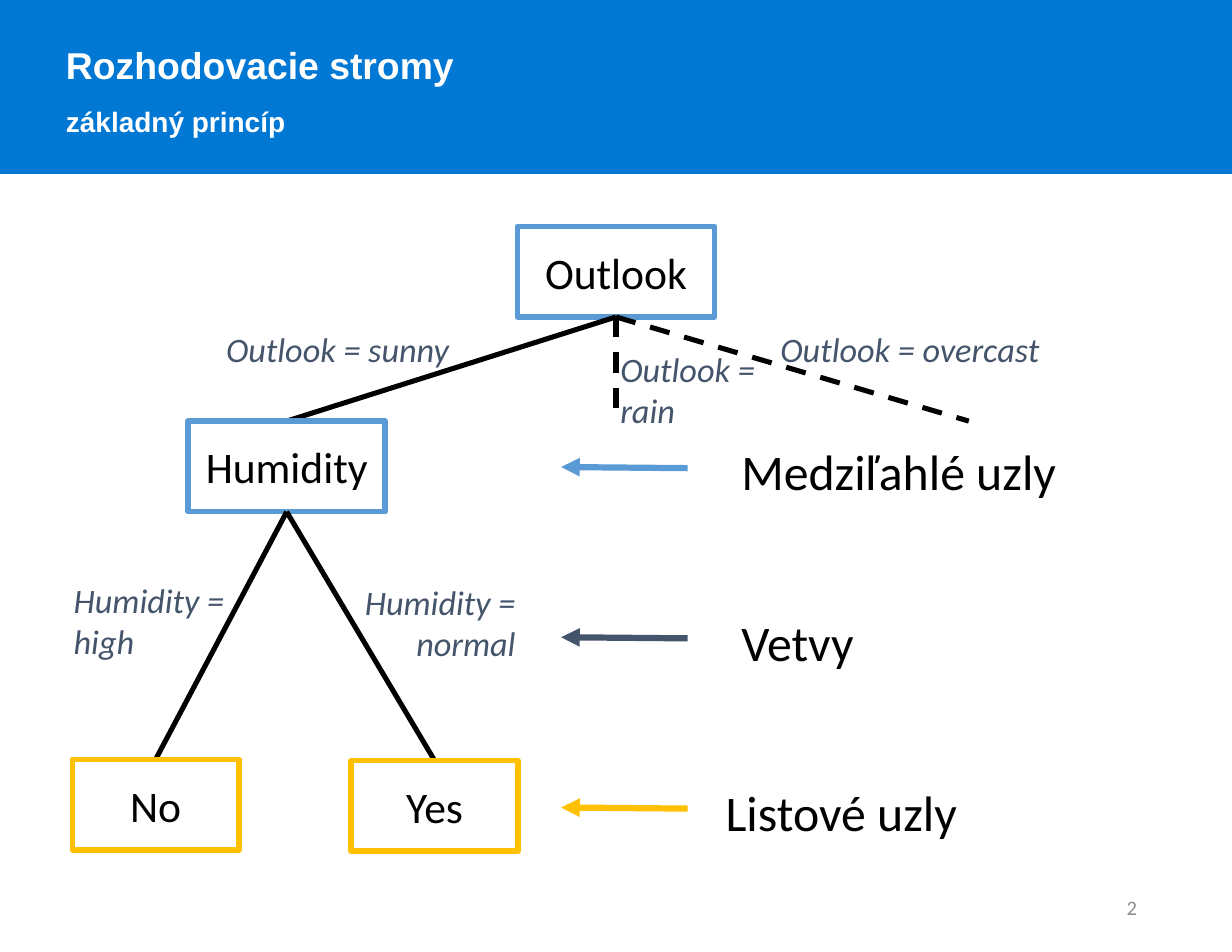
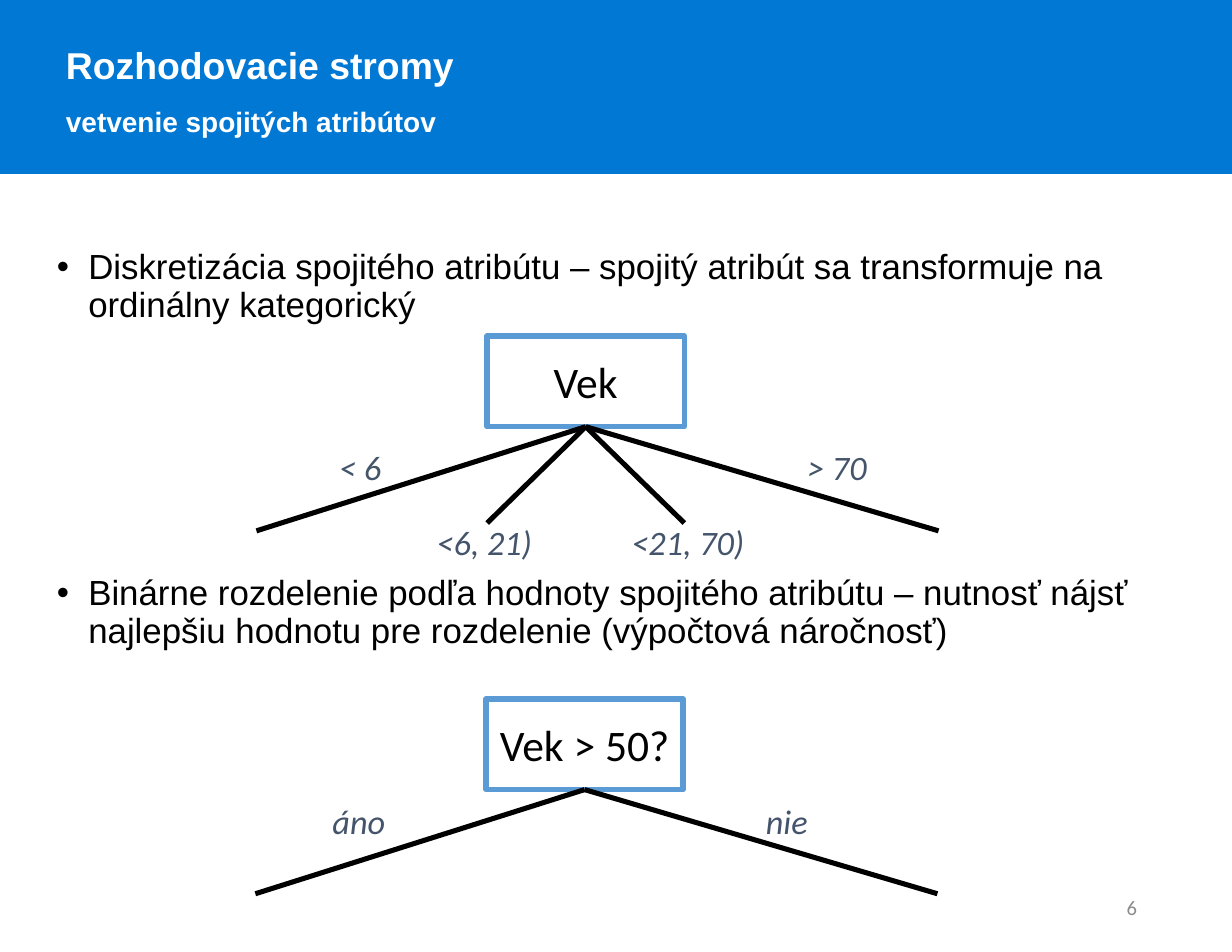
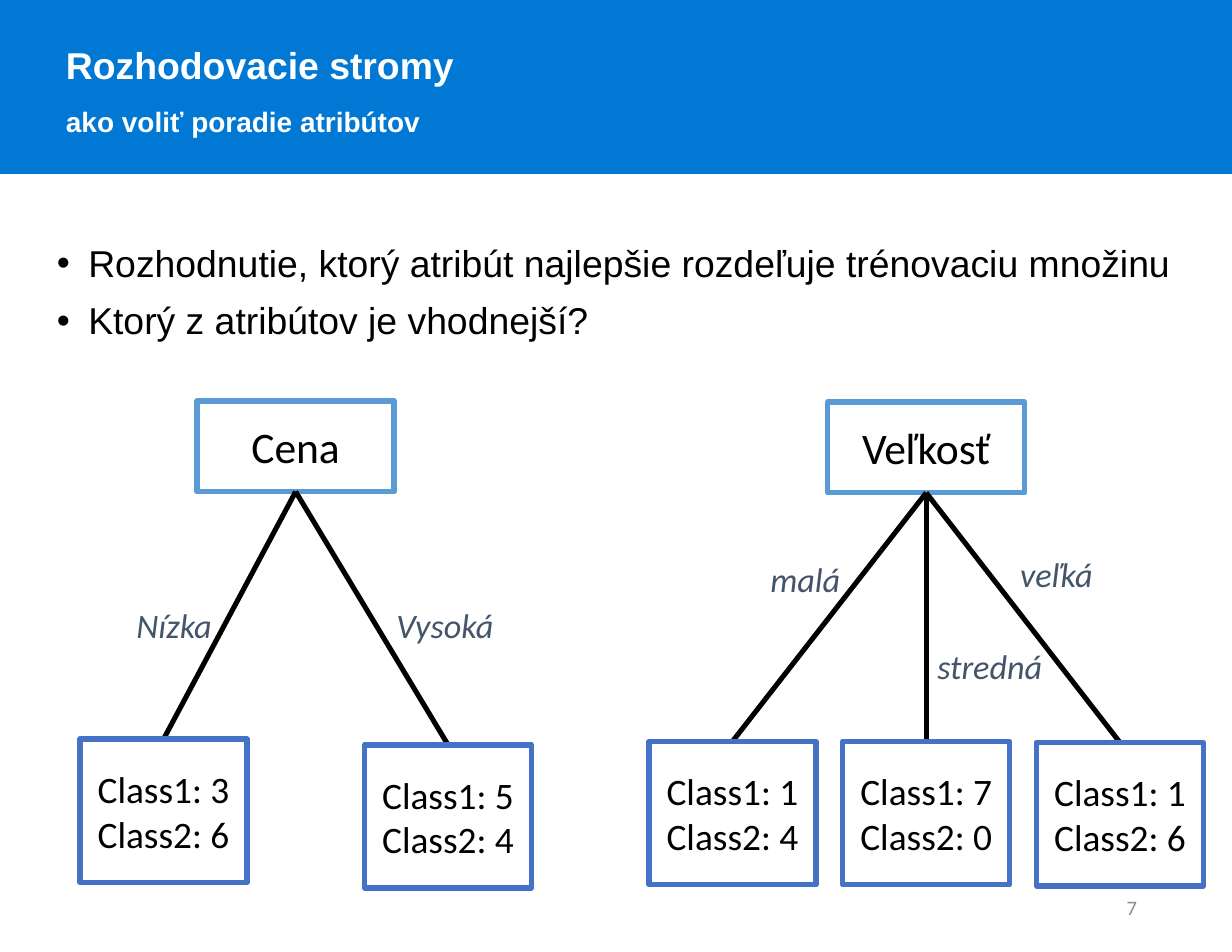
from dataclasses import dataclass

from lxml.etree import SubElement
from pptx import Presentation
from pptx.dml.color import RGBColor
from pptx.enum.dml import MSO_LINE
from pptx.enum.shapes import MSO_CONNECTOR, MSO_SHAPE
from pptx.enum.text import MSO_ANCHOR, PP_ALIGN
from pptx.oxml.ns import qn
from pptx.util import Inches, Pt

# Shared look
BAND, NODE, LEAF, CLASS = "0078D4", "5B9BD5", "FFC000", "4472C4"
LABEL, TEXT, WHITE, MUTED = "44546A", "000000", "FFFFFF", "8C8C8C"
HEADING_FONT, DIAGRAM_FONT = "Arial", "Calibri"
NODE_WIDTH, NODE_HEIGHT = 1.76, 0.81
LEAF_WIDTH, CLASS_HEIGHT = 1.49, 1.28


@dataclass
class Branch:
    """Line end and label place, both measured from the foot of the root node."""
    end: tuple
    label: tuple = ()
    label_at: tuple = (0, 0, 1)  # left, top, width
    leaf: tuple = ()
    dashed: bool = False
    last_align: PP_ALIGN = None


def color(value):
    return RGBColor.from_string(value)


def add_para(frame, text, size, font, fill, bold=False, italic=False, align=None):
    first = frame.paragraphs[0]
    para = first if not first.runs else frame.add_paragraph()
    para.alignment = align
    span = para.add_run()
    span.text = text
    span.font.size = Pt(size)
    span.font.name = font
    span.font.bold = bold
    span.font.italic = italic
    span.font.color.rgb = color(fill)
    return para


def add_text_box(page, left, top, width, height, wrap=True):
    box = page.shapes.add_textbox(*map(Inches, (left, top, width, height)))
    box.text_frame.word_wrap = wrap
    return box.text_frame


def add_rectangle(page, left, top, width, height, line, weight, fill=None):
    box = page.shapes.add_shape(
        MSO_SHAPE.RECTANGLE, *map(Inches, (left, top, width, height)))
    box.shadow.inherit = False
    if fill:
        box.fill.solid()
        box.fill.fore_color.rgb = color(fill)
    else:
        box.fill.background()
    box.line.color.rgb = color(line)
    box.line.width = Pt(weight)
    return box


def add_line(page, start, end, fill=TEXT, weight=3.25, dashed=False, arrow=False):
    line = page.shapes.add_connector(
        MSO_CONNECTOR.STRAIGHT, *map(Inches, (*start, *end)))
    line.line.color.rgb = color(fill)
    line.line.width = Pt(weight)
    if dashed:
        line.line.dash_style = MSO_LINE.DASH
    if arrow:
        SubElement(line.line._get_or_add_ln(), qn("a:tailEnd"), type="triangle")
    SubElement(line._element.spPr, qn("a:effectLst"))


# Title band and page number
def add_page(deck, subtitle, number):
    page = deck.slides.add_slide(deck.slide_layouts[6])
    add_rectangle(page, 0, 0, 11, 1.55, BAND, 1, BAND)
    frame = add_text_box(page, 0.49, 0.13, 10.18, 1.11)
    for text, size in (("Rozhodovacie stromy", 24), (subtitle, 18)):
        para = add_para(frame, text, size, HEADING_FONT, WHITE, bold=True)
        para.line_spacing = 1.5
    frame = add_text_box(page, 7.77, 7.88, 2.48, 0.45)
    frame.vertical_anchor = MSO_ANCHOR.MIDDLE
    add_para(frame, number, 13.2, DIAGRAM_FONT, MUTED, align=PP_ALIGN.RIGHT)
    return page


def add_bullets(page, top, size, items, gap):
    frame = add_text_box(page, 0.41, top, 10.18, 5.74)
    for index, text in enumerate(items):
        para = add_para(frame, text, size, HEADING_FONT, TEXT)
        para.line_spacing = 0.9
        para.space_before = Pt(gap if index else 0)
        props = para._p.get_or_add_pPr()
        props.set("marL", str(Inches(0.28)))
        props.set("indent", str(Inches(-0.28)))
        SubElement(props, qn("a:buFont"), typeface="Arial")
        SubElement(props, qn("a:buChar"), char="•")


# Decision tree parts
def add_node(page, left, top, width, height, lines, line, size=28):
    frame = add_rectangle(page, left, top, width, height, line, 3.5).text_frame
    frame.word_wrap = True
    frame.vertical_anchor = MSO_ANCHOR.MIDDLE
    for text in lines:
        add_para(frame, text, size, DIAGRAM_FONT, TEXT, align=PP_ALIGN.CENTER)


def add_label(page, left, top, width, lines, last_align):
    height = 0.1 + 0.37 * len(lines)
    frame = add_text_box(page, left, top, width, height, wrap=False)
    for text in lines:
        para = add_para(frame, text, 22, DIAGRAM_FONT, LABEL, italic=True)
    para.alignment = last_align


def add_tree(page, left, top, root, branches):
    add_node(page, left, top, NODE_WIDTH, NODE_HEIGHT, [root], NODE)
    foot_x, foot_y = left + NODE_WIDTH / 2, top + NODE_HEIGHT
    for branch in branches:
        end_x, end_y = foot_x + branch.end[0], foot_y + branch.end[1]
        add_line(page, (foot_x, foot_y), (end_x, end_y), dashed=branch.dashed)
        if branch.leaf:
            is_class = len(branch.leaf) > 1
            add_node(page, end_x - LEAF_WIDTH / 2, end_y, LEAF_WIDTH,
                     CLASS_HEIGHT if is_class else NODE_HEIGHT, branch.leaf,
                     CLASS if is_class else LEAF, 24 if is_class else 28)
    for branch in branches:
        label_x, label_y, width = branch.label_at
        add_label(page, foot_x + label_x, foot_y + label_y, width,
                  branch.label, branch.last_align)


def add_legend(page, left, top, rows):
    for index, (text, fill, offset, width) in enumerate(rows):
        y = top + 1.52 * index
        add_line(page, (left + 1.13, y + 0.01), (left, y), fill, 4, arrow=True)
        frame = add_text_box(page, left + offset, y - 0.28, width, 0.64, wrap=False)
        add_para(frame, text, 32, DIAGRAM_FONT, TEXT)


def class_counts(first, second):
    return f"Class1: {first}", f"Class2: {second}"


# Slides
def principle_slide(deck):
    page = add_page(deck, "základný princíp", "2")
    add_tree(page, 4.62, 2.02, "Outlook", [
        Branch((-2.94, 0.93), ("Outlook = sunny",), (-3.58, 0.05, 2.21)),
        Branch((0, 0.92), ("Outlook =", "rain"), (-0.06, 0.23, 1.42), dashed=True),
        Branch((3.15, 0.93), ("Outlook = overcast",), (1.37, 0.05, 2.53), dashed=True),
    ])
    add_tree(page, 1.68, 3.76, "Humidity", [
        Branch((-1.17, 2.21), ("Humidity =", "high"), (-2, 0.55, 1.56), ("No",)),
        Branch((1.32, 2.22), ("Humidity =", "normal"), (0.6, 0.57, 1.57), ("Yes",),
               last_align=PP_ALIGN.RIGHT),
    ])
    add_legend(page, 5.01, 4.17, [
        ("Medziľahlé uzly", NODE, 1.51, 3.05),
        ("Vetvy", LABEL, 1.51, 1.21),
        ("Listové uzly", LEAF, 1.37, 2.29),
    ])


def continuous_slide(deck):
    page = add_page(deck, "vetvenie spojitých atribútov", "6")
    add_bullets(page, 2.18, 22.4, [
        "Diskretizácia spojitého atribútu – spojitý atribút sa transformuje "
        "na ordinálny kategorický",
        "Binárne rozdelenie podľa hodnoty spojitého atribútu – nutnosť nájsť "
        "najlepšiu hodnotu pre rozdelenie (výpočtová náročnosť)",
    ], gap=161)
    left_end, right_end = (-2.94, 0.93), (3.15, 0.93)
    add_tree(page, 4.35, 3, "Vek", [
        Branch(left_end, ("< 6",), (-2.3, 0.13, 0.58)),
        Branch((-0.88, 0.86), ("<6, 21)",), (-1.43, 0.8, 1.06)),
        Branch((0.88, 0.86), ("<21, 70)",), (0.31, 0.8, 1.22)),
        Branch(right_end, ("> 70",), (1.88, 0.13, 0.74)),
    ])
    add_tree(page, 4.34, 6.24, "Vek > 50?", [
        Branch(left_end, ("áno",), (-2.35, 0.05, 0.68)),
        Branch(right_end, ("nie",), (1.52, 0.05, 0.58)),
    ])


def order_slide(deck):
    page = add_page(deck, "ako voliť poradie atribútov", "7")
    add_bullets(page, 2.14, 24, [
        "Rozhodnutie, ktorý atribút najlepšie rozdeľuje trénovaciu množinu",
        "Ktorý z atribútov je vhodnejší?",
    ], gap=11)
    add_tree(page, 1.76, 3.58, "Cena", [
        Branch((-1.18, 2.21), ("Nízka",), (-1.52, 0.96, 0.88), class_counts(3, 6)),
        Branch((1.36, 2.26), ("Vysoká",), (0.8, 0.96, 1.08), class_counts(5, 4)),
    ])
    add_tree(page, 7.39, 3.59, "Veľkosť", [
        Branch((-1.73, 2.22), ("malá",), (-1.49, 0.54, 0.83), class_counts(1, 4)),
        Branch((0, 2.22), ("stredná",), (0, 1.31, 1.15), class_counts(7, 0)),
        Branch((1.73, 2.23), ("veľká",), (0.74, 0.49, 0.85), class_counts(1, 6)),
    ])


def main():
    deck = Presentation()
    deck.slide_width, deck.slide_height = Inches(11), Inches(8.5)
    principle_slide(deck)
    continuous_slide(deck)
    order_slide(deck)
    deck.save("out.pptx")


if __name__ == "__main__":
    main()
